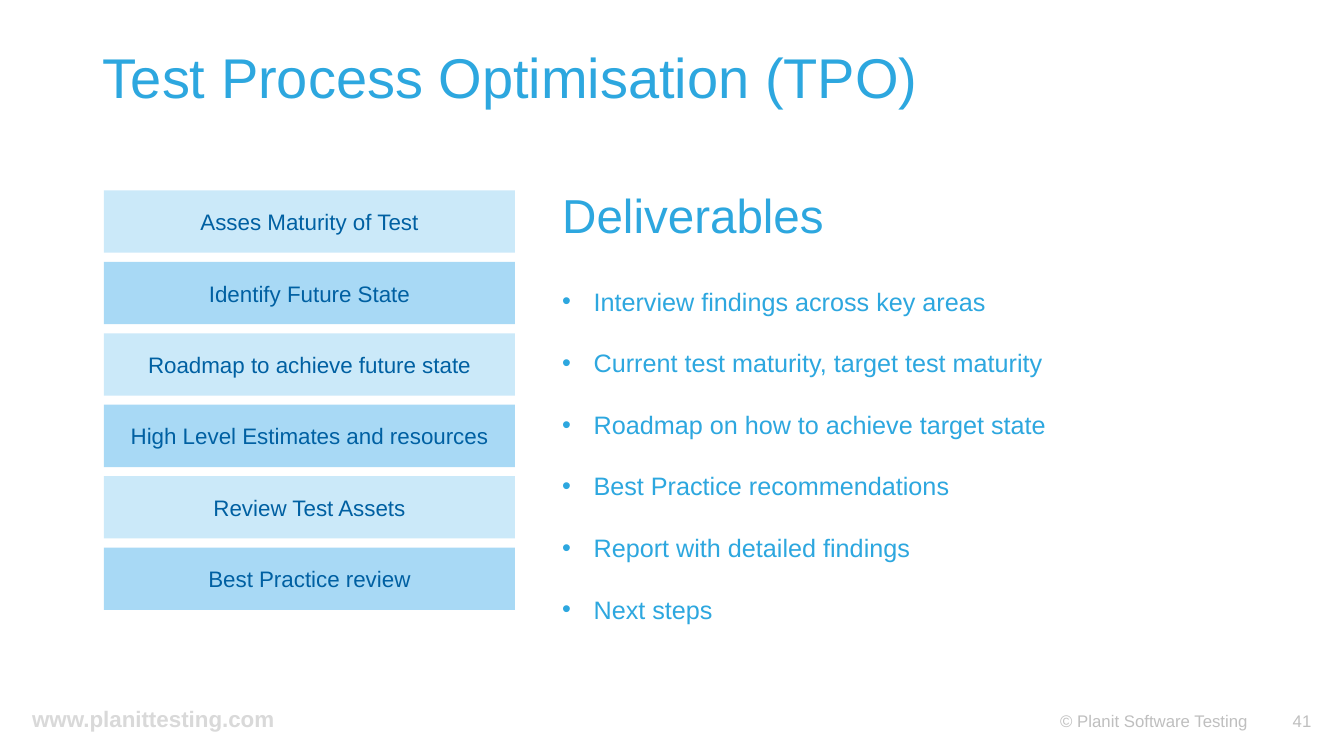
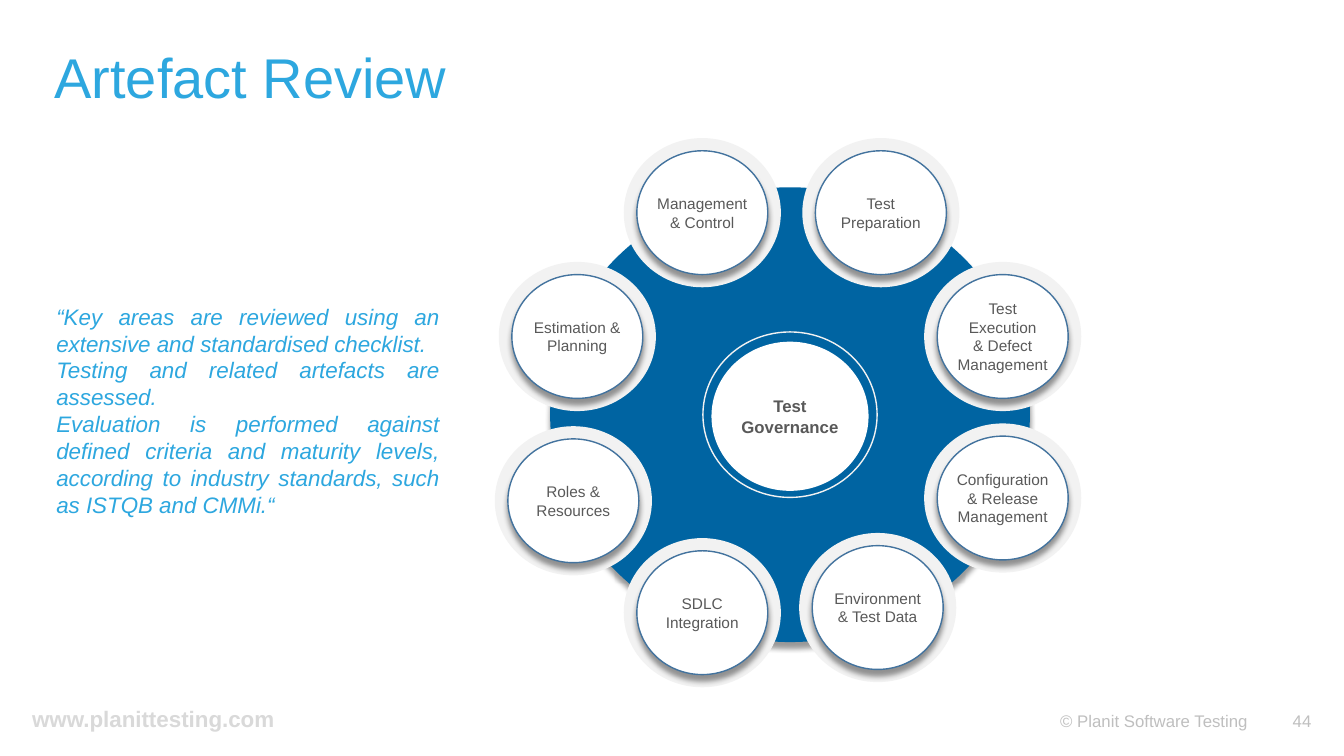
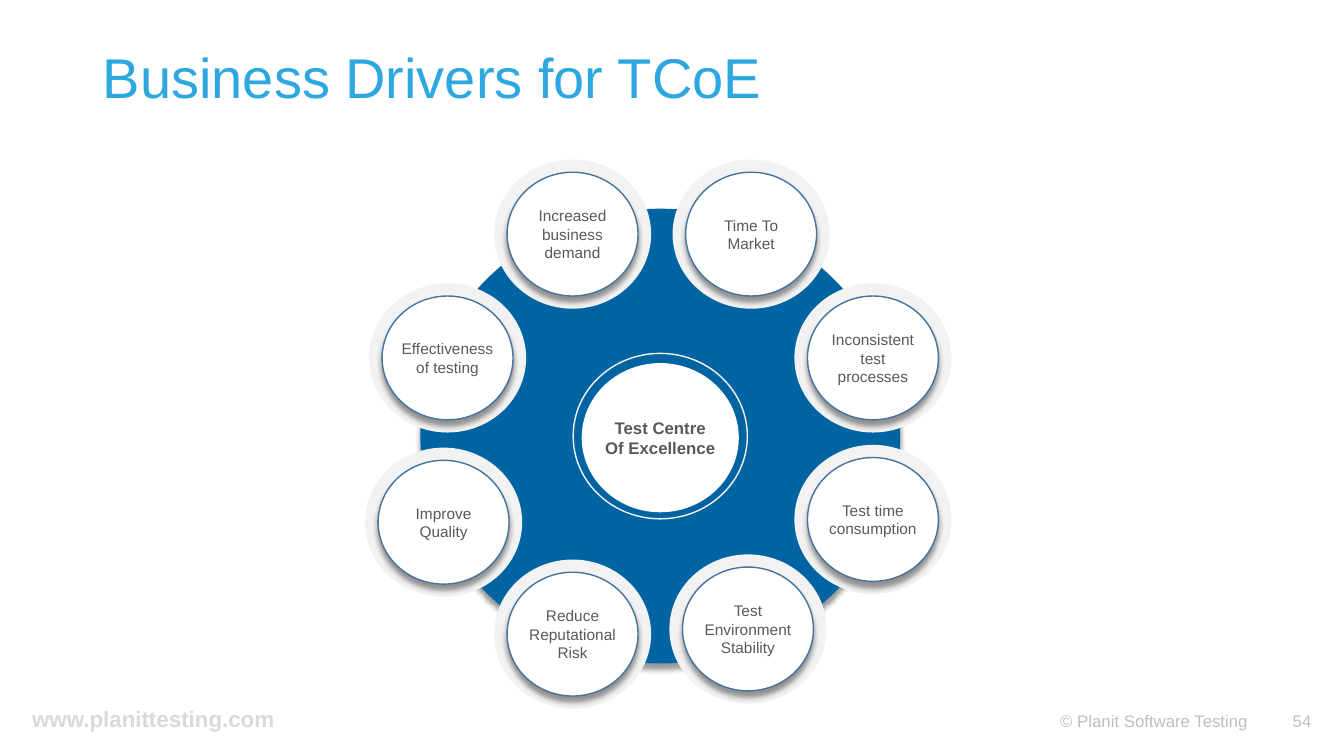
from lxml import etree
from pptx import Presentation
from pptx.dml.color import RGBColor
from pptx.enum.shapes import MSO_SHAPE
from pptx.enum.text import MSO_ANCHOR, MSO_AUTO_SIZE, PP_ALIGN
from pptx.oxml.ns import qn
from pptx.util import Cm, Pt

OVAL, RECT = MSO_SHAPE.OVAL, MSO_SHAPE.RECTANGLE
LEFT, CENTER, RIGHT = PP_ALIGN.LEFT, PP_ALIGN.CENTER, PP_ALIGN.RIGHT
JUSTIFY = PP_ALIGN.JUSTIFY
TOP, MIDDLE = MSO_ANCHOR.TOP, MSO_ANCHOR.MIDDLE
NO_FIT = MSO_AUTO_SIZE.NONE

FONT = "Arial"
SKY, NAVY, BLUE, OUTLINE = "2DA7DF", "0060A2", "0064A2", "43739E"
WHITE, PALE, SILVER, GREY, TEXT = "FFFFFF", "F2F2F2", "D9D9D9", "BFBFBF", "595959"
BAR_FILLS = ("CBE9F9", "A8D9F5")

HALO, DISC, RING, WHEEL = (3.96, 3.76), (3.3, 3.12), (4.39, 4.17), (12.09, 11.46)
SATELLITES = [(-2.21, -5.09), (2.29, -5.09), (5.36, -1.97), (5.36, 2.1),
              (2.21, 4.86), (-2.21, 4.99), (-5.46, 2.17), (-5.36, -1.97)]

STEPS = ["Asses Maturity of Test", "Identify Future State",
         "Roadmap to achieve future state", "High Level Estimates and resources",
         "Review Test Assets", "Best Practice review"]
DELIVERABLES = ["Interview findings across key areas",
                "Current test maturity, target test maturity",
                "Roadmap on how to achieve target state",
                "Best Practice recommendations",
                "Report with detailed findings", "Next steps"]
REVIEW = ["“Key areas are reviewed using an extensive and standardised checklist.",
          "Testing and related artefacts are assessed.",
          "Evaluation is performed against defined criteria and maturity levels, "
          "according to industry standards, such as ISTQB and CMMi.“"]
REVIEW_AREAS = ["Management & Control", "Test Preparation",
                "Test Execution\n& Defect Management",
                "Configuration & Release Management", "Environment & Test Data",
                "SDLC Integration", "Roles & Resources", "Estimation & Planning"]
DRIVERS = ["Increased business demand", "Time To Market",
           "Inconsistent test processes", "Test time consumption",
           "Test Environment Stability", "Reduce Reputational Risk",
           "Improve Quality", "Effectiveness of testing"]


def rgb(value):
    """Turn a hex string into a colour."""
    return RGBColor.from_string(value)


def add_run(p, text, size, color, bold=False, italic=False):
    """Append one formatted run to a paragraph."""
    r = p.add_run()
    r.text = text
    r.font.name, r.font.size = FONT, Pt(size)
    r.font.bold, r.font.italic = bold, italic
    r.font.color.rgb = rgb(color)


def fill_text(tf, lines, size, color, align=LEFT, anchor=TOP, **style):
    """Write one paragraph for each line into a text frame."""
    tf.word_wrap, tf.auto_size, tf.vertical_anchor = True, NO_FIT, anchor
    for i, line in enumerate(lines):
        p = tf.add_paragraph() if i else tf.paragraphs[0]
        p.alignment = align
        add_run(p, line, size, color, **style)


def add_text(s, x, y, w, h, lines, size, color, **style):
    """Add a text box and return its text frame."""
    tf = s.shapes.add_textbox(Cm(x), Cm(y), Cm(w), Cm(h)).text_frame
    fill_text(tf, lines, size, color, **style)
    return tf


def add_figure(s, kind, x, y, w, h, fill=None, line=None):
    """Add a flat preset shape with an optional fill and outline."""
    sp = s.shapes.add_shape(kind, Cm(x), Cm(y), Cm(w), Cm(h))
    sp.shadow.inherit = False
    if fill:
        sp.fill.solid()
        sp.fill.fore_color.rgb = rgb(fill)
    else:
        sp.fill.background()
    if line:
        sp.line.color.rgb = rgb(line)
        sp.line.width = Pt(1)
    else:
        sp.line.fill.background()
    return sp


def add_oval(s, cx, cy, size, fill=None, line=None):
    """Add an ellipse around a centre point, without text insets."""
    w, h = size
    sp = add_figure(s, OVAL, cx - w / 2, cy - h / 2, w, h, fill, line)
    tf = sp.text_frame
    tf.margin_left = tf.margin_right = tf.margin_top = tf.margin_bottom = 0
    return sp


def drop_shadow(sp):
    """Give a shape a soft shadow straight below it."""
    effects = sp._element.spPr.find(qn("a:effectLst"))
    shadow = etree.SubElement(effects, qn("a:outerShdw"), blurRad=str(Pt(4)),
                              dist=str(Pt(4)), dir="5400000", algn="t",
                              rotWithShape="0")
    color = etree.SubElement(shadow, qn("a:srgbClr"), val="000000")
    etree.SubElement(color, qn("a:alpha"), val="40000")


def add_bullet(p):
    """Give a paragraph a round bullet with a hanging indent."""
    pPr = p._p.get_or_add_pPr()
    pPr.set("marL", str(Cm(0.79)))
    pPr.set("indent", str(-Cm(0.79)))
    etree.SubElement(pPr, qn("a:buFont"), typeface=FONT)
    etree.SubElement(pPr, qn("a:buChar"), char="•")


def add_slide(prs, title, number, left=2.34):
    """Add a slide with its title and the shared footer."""
    s = prs.slides.add_slide(prs.slide_layouts[5])
    sp = s.shapes.title
    sp.left, sp.top, sp.width, sp.height = Cm(left), Cm(1.02), Cm(29.21), Cm(2)
    fill_text(sp.text_frame, [title], 40, SKY, anchor=MIDDLE)
    sp.text_frame.paragraphs[0].line_spacing = 0.9
    add_text(s, 0.56, 17.65, 15.93, 0.94, ["www.planittesting.com"], 16, SILVER,
             bold=True)
    add_text(s, 26.47, 17.65, 5.4, 1.02, ["© Planit Software Testing"], 12, GREY,
             anchor=MIDDLE)
    add_text(s, 32, 17.65, 1.3, 1.02, [number], 12, GREY, align=RIGHT,
             anchor=MIDDLE)
    return s


def add_bars(s, labels):
    """Stack labelled bars in two alternating tints."""
    for i, label in enumerate(labels):
        sp = add_figure(s, RECT, 2.62, 4.8 + 1.8 * i, 10.36, 1.57,
                        BAR_FILLS[i % 2])
        fill_text(sp.text_frame, [label], 16, NAVY, CENTER, MIDDLE)


def add_deliverables(s, items):
    """Add the heading and the bulleted list below it."""
    tf = add_text(s, 13.92, 4.55, 17.63, 12.6, ["Deliverables"], 34, SKY)
    for i, item in enumerate(items):
        p = tf.add_paragraph()
        p.space_before = Pt(22.4 if i else 31)
        add_bullet(p)
        add_run(p, item, 18, SKY)


def add_wheel(s, cx, cy, hub, labels):
    """Draw a wheel with a labelled hub and a disc for each label."""
    drop_shadow(add_oval(s, cx, cy, WHEEL, BLUE))
    sp = add_oval(s, cx, cy + 0.04, HALO, WHITE)
    fill_text(sp.text_frame, [hub], 12, TEXT, CENTER, MIDDLE, bold=True)
    add_oval(s, cx, cy, RING, line=PALE)
    for (dx, dy), label in zip(SATELLITES, labels):
        add_oval(s, cx + dx, cy + dy, HALO, PALE)
        sp = add_oval(s, cx + dx, cy + dy, DISC, WHITE, OUTLINE)
        drop_shadow(sp)
        fill_text(sp.text_frame, label.split("\n"), 11, TEXT, CENTER, MIDDLE)


def main():
    """Build the three slides and save them."""
    prs = Presentation()
    prs.slide_width, prs.slide_height = Cm(33.87), Cm(19.05)

    s = add_slide(prs, "Test Process Optimisation (TPO)", "41")
    add_bars(s, STEPS)
    add_deliverables(s, DELIVERABLES)

    s = add_slide(prs, "Artefact Review", "44", left=1.12)
    add_text(s, 1.17, 3.9, 10.16, 12.88, REVIEW, 16, SKY, align=JUSTIFY,
             anchor=MIDDLE, italic=True)
    add_wheel(s, 19.91, 10.45, "Test Governance", REVIEW_AREAS)

    s = add_slide(prs, "Business Drivers for TCoE", "54")
    add_wheel(s, 16.64, 10.99, "Test Centre Of Excellence", DRIVERS)

    prs.save("out.pptx")


if __name__ == "__main__":
    main()
